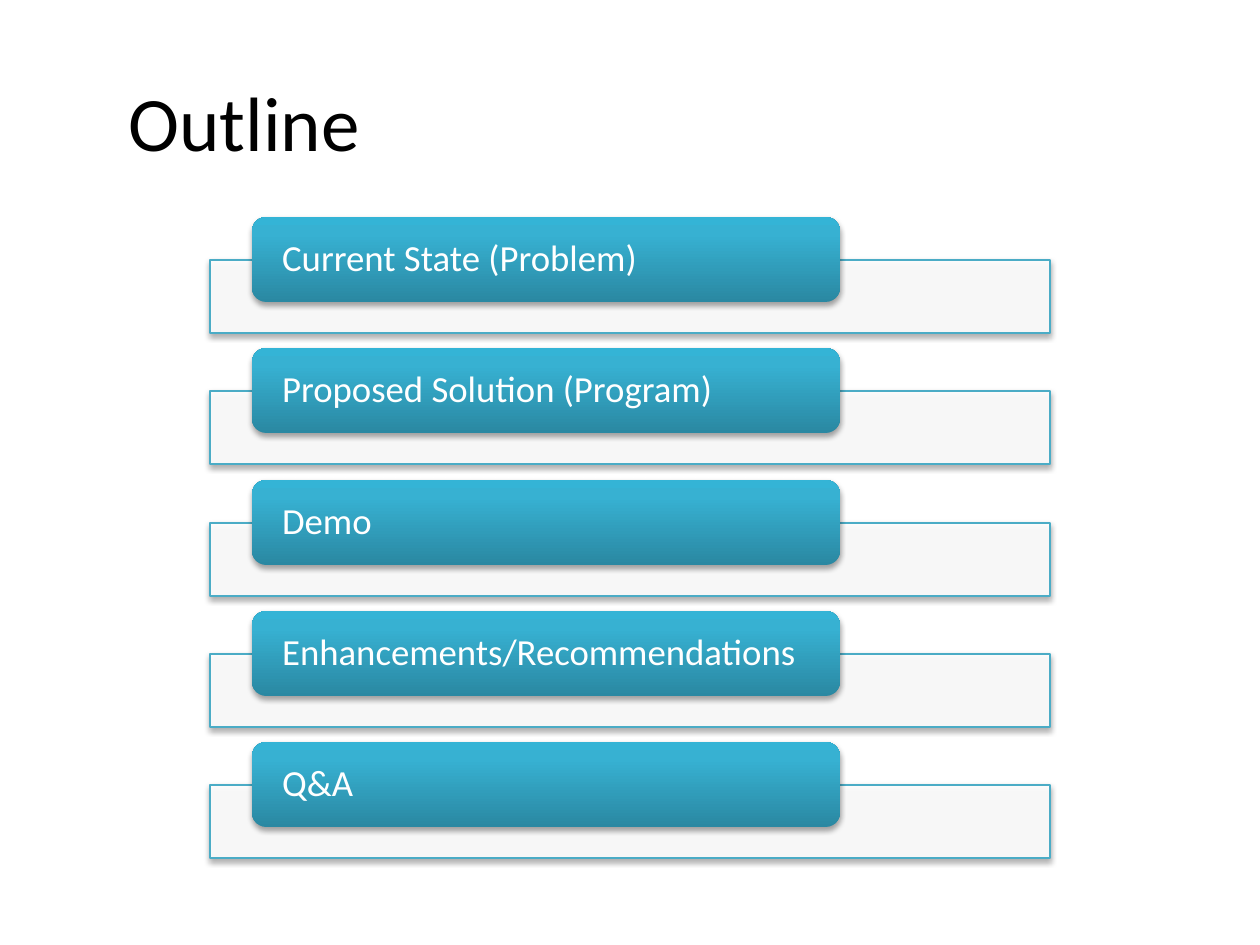
import copy

import pptx
import pptx.dml.color
import pptx.enum.shapes
import pptx.enum.text
import pptx.oxml
import pptx.oxml.ns
import pptx.util

SCALE = 914400 / 126
FONT = "Calibri"
COLORS = {
    "title": "000000",
    "label": "FFFFFF",
    "bar": "FFFFFF",
    "edge": "4BACC6",
    "dark": "2A88A2",
    "mid": "37B1D2",
    "light": "34B4D6",
    "shadow": "000000",
}
TOPICS = [
    "Current State (Problem)",
    "Proposed Solution (Program)",
    "Demo",
    "Enhancements/Recommendations",
    "Q&A",
]
FIRST, LAST = 217, 742  # tops of the first and last tab
SHAPES = pptx.enum.shapes.MSO_SHAPE


def px(n):
    return pptx.util.Emu(round(n * SCALE))


def rgb(name):
    return pptx.dml.color.RGBColor.from_string(COLORS[name])


def find(shape, tag):
    return shape._element.spPr.find(".//" + pptx.oxml.ns.qn(tag))


def node(xml):
    """Parse one DrawingML element, given without its namespace."""
    tag, rest = xml.split(" ", 1)
    return pptx.oxml.parse_xml(f"{tag} {pptx.oxml.ns.nsdecls('a')} {rest}")


def add_shadow(shape):
    shape.shadow.inherit = False
    find(shape, "a:effectLst").append(node(
        '<a:outerShdw blurRad="40000" dist="23000" dir="5400000" rotWithShape="0">'
        f'<a:srgbClr val="{COLORS["shadow"]}"><a:alpha val="35000"/></a:srgbClr>'
        '</a:outerShdw>'))


def add_bar(slide, top):
    bar = slide.shapes.add_shape(SHAPES.RECTANGLE, px(210), px(top), px(840), px(73))
    bar.fill.solid()
    bar.fill.fore_color.rgb = rgb("bar")
    find(bar, "a:srgbClr").append(node('<a:alpha val="90000"/>'))
    bar.line.color.rgb = rgb("edge")
    bar.line.width = pptx.util.Pt(0.75)
    add_shadow(bar)


def shade(shape):
    """Fill from dark at the bottom to light at the top."""
    shape.fill.gradient()
    shape.fill.gradient_angle = 90
    stops = find(shape, "a:gsLst")
    stops.append(copy.deepcopy(stops[0]))
    marks = [("dark", 0), ("mid", 0.8), ("light", 1)]
    for stop, (name, place) in zip(shape.fill.gradient_stops, marks):
        stop.color.rgb = rgb(name)
        stop.position = place


def write(shape, text, size, color):
    frame = shape.text_frame
    frame.text = text
    frame.word_wrap = True
    frame.vertical_anchor = pptx.enum.text.MSO_ANCHOR.MIDDLE
    para = frame.paragraphs[0]
    para.alignment = pptx.enum.text.PP_ALIGN.LEFT
    font = para.runs[0].font
    font.name = FONT
    font.size = pptx.util.Pt(size)
    font.color.rgb = rgb(color)
    return frame


def add_tab(slide, top, text):
    tab = slide.shapes.add_shape(
        SHAPES.ROUNDED_RECTANGLE, px(252), px(top), px(588), px(85))
    shade(tab)
    tab.line.fill.background()
    add_shadow(tab)
    frame = write(tab, text, 21, "label")
    frame.margin_left = frame.margin_right = px(26)
    frame.margin_top = frame.margin_bottom = 0
    frame.paragraphs[0].line_spacing = 0.9


def add_title(slide, text):
    box = slide.shapes.add_textbox(px(116), px(42), px(1113), px(158))
    write(box, text, 44, "title")


def main():
    deck = pptx.Presentation()
    deck.slide_width, deck.slide_height = px(1260), px(945)
    slide = deck.slides.add_slide(deck.slide_layouts[6])
    add_title(slide, "Outline")
    step = (LAST - FIRST) / (len(TOPICS) - 1)
    for i, topic in enumerate(TOPICS):
        top = round(FIRST + i * step)
        add_bar(slide, top + 43)
        add_tab(slide, top, topic)
    deck.save("out.pptx")


if __name__ == "__main__":
    main()
